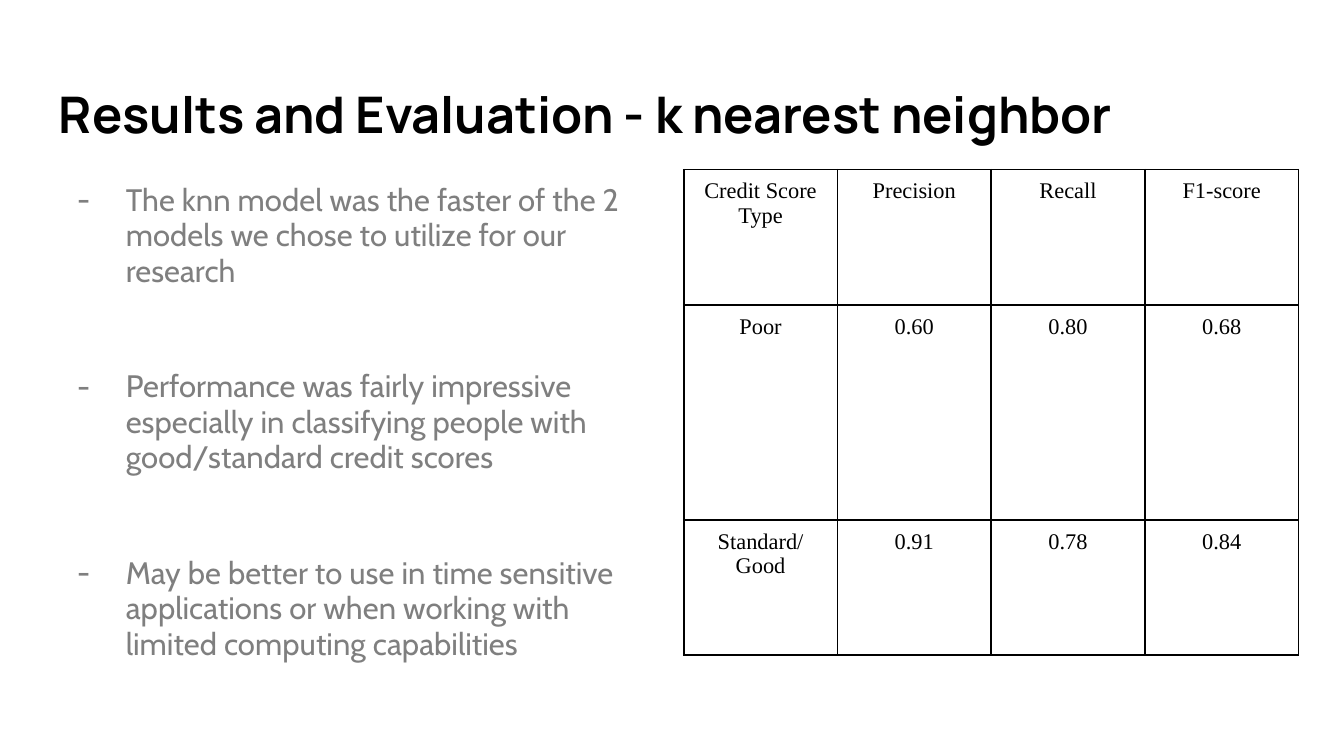
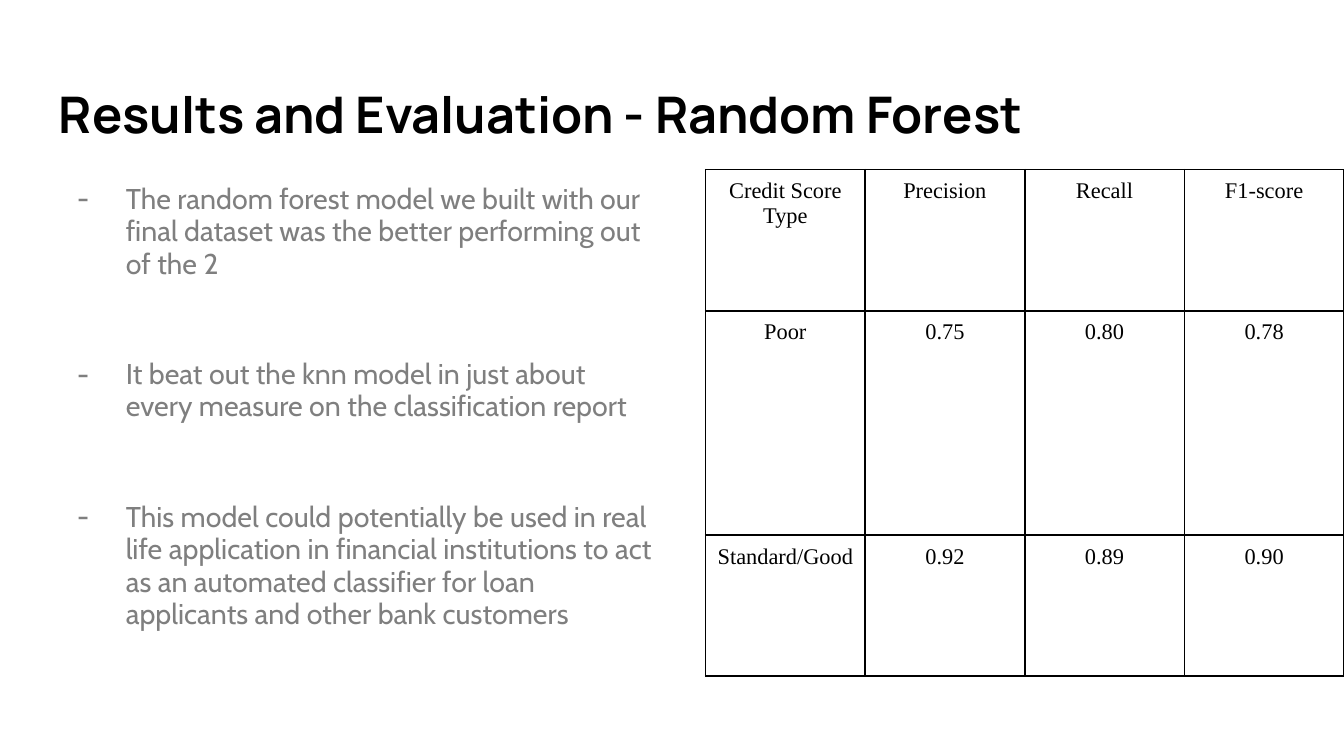
from lxml.etree import SubElement
from pptx import Presentation
from pptx.dml.color import RGBColor
from pptx.enum.text import MSO_ANCHOR, MSO_AUTO_SIZE, PP_ALIGN
from pptx.oxml.ns import qn
from pptx.util import Pt

PX = 5715
BLACK = RGBColor(0x00, 0x00, 0x00)
GRAY = RGBColor(0x7F, 0x7F, 0x7F)
WHITE = RGBColor(0xFF, 0xFF, 0xFF)
HEADER = ("Credit Score Type", "Precision", "Recall", "F1-score")


class ReportDeck:
    title_font = "Manrope"
    body_font = "Cabin"
    table_font = "Times New Roman"
    content_top = 202

    def __init__(self, width, height):
        self.presentation = Presentation()
        self.presentation.slide_width = width * PX
        self.presentation.slide_height = height * PX
        self.slide = None

    def add_slide(self, title):
        layout = self.presentation.slide_layouts[5]
        self.slide = self.presentation.slides.add_slide(layout)
        self.slide.background.fill.solid()
        self.slide.background.fill.fore_color.rgb = WHITE
        shape = self.slide.shapes.title
        self.place(shape, 54, 78, 1491, 109)
        frame = self.prepare_frame(shape, MSO_ANCHOR.BOTTOM)
        frame.text = title
        paragraph = frame.paragraphs[0]
        paragraph.alignment = PP_ALIGN.LEFT
        self.set_font(paragraph, self.title_font, 27, BLACK, bold=True)

    def add_bullets(self, texts, height, size, gap):
        shape = self.slide.shapes.add_textbox(0, 0, 0, 0)
        self.place(shape, 54, self.content_top, 746, height)
        frame = self.prepare_frame(shape, MSO_ANCHOR.TOP)
        frame.text = "\n".join(texts)
        for index, paragraph in enumerate(frame.paragraphs):
            paragraph.line_spacing = 0.95
            paragraph.space_before = Pt(gap if index else 0)
            self.set_bullet(paragraph, 80, -58)
            self.set_font(paragraph, self.body_font, size, GRAY)

    def add_table(self, rows, left, column_width, row_heights):
        width, height = column_width * len(rows[0]), sum(row_heights)
        frame = self.slide.shapes.add_table(len(rows), len(rows[0]), 0, 0, 0, 0)
        self.place(frame, left, self.content_top, width, height)
        table = frame.table
        table.first_row = table.horz_banding = False
        for column in table.columns:
            column.width = column_width * PX
        for row, row_height, values in zip(table.rows, row_heights, rows):
            row.height = row_height * PX
            for cell, value in zip(row.cells, values):
                self.fill_cell(cell, value)

    def fill_cell(self, cell, value):
        cell.text = value
        cell.margin_left = cell.margin_right = 11 * PX
        cell.margin_top = cell.margin_bottom = 11 * PX
        self.set_borders(cell)
        cell.fill.background()
        paragraph = cell.text_frame.paragraphs[0]
        paragraph.alignment = PP_ALIGN.CENTER
        self.set_font(paragraph, self.table_font, 12, BLACK)

    def save(self):
        self.presentation.save("out.pptx")

    @staticmethod
    def place(shape, left, top, width, height):
        shape.left, shape.top = left * PX, top * PX
        shape.width, shape.height = width * PX, height * PX

    @staticmethod
    def prepare_frame(shape, anchor):
        frame = shape.text_frame
        frame.word_wrap = True
        frame.auto_size = MSO_AUTO_SIZE.NONE
        frame.vertical_anchor = anchor
        frame.margin_left = frame.margin_right = 16 * PX
        frame.margin_top = frame.margin_bottom = 16 * PX
        return frame

    @staticmethod
    def set_font(paragraph, name, size, color, bold=False):
        font = paragraph.font
        font.name, font.size, font.bold = name, Pt(size), bold
        font.color.rgb = color

    @staticmethod
    def set_bullet(paragraph, margin, indent):
        properties = paragraph._p.get_or_add_pPr()
        properties.set("marL", str(margin * PX))
        properties.set("indent", str(indent * PX))
        color = SubElement(properties, qn("a:buClr"))
        SubElement(color, qn("a:srgbClr"), val=str(GRAY))
        SubElement(properties, qn("a:buFont"), typeface=ReportDeck.body_font)
        SubElement(properties, qn("a:buChar"), char="-")

    @staticmethod
    def set_borders(cell):
        properties = cell._tc.get_or_add_tcPr()
        for side in ("a:lnL", "a:lnR", "a:lnT", "a:lnB"):
            line = SubElement(properties, qn(side), w=str(Pt(1)))
            fill = SubElement(line, qn("a:solidFill"))
            SubElement(fill, qn("a:srgbClr"), val=str(BLACK))


def main():
    deck = ReportDeck(1600, 900)

    deck.add_slide("Results and Evaluation - k nearest neighbor")
    deck.add_bullets(
        [
            "The knn model was the faster of the 2 models we chose to utilize for our research",
            "Performance was fairly impressive especially in classifying people with "
            "good/standard credit scores",
            "May be better to use in time sensitive applications or when working with "
            "limited computing capabilities",
        ],
        height=606, size=16.65, gap=43,
    )
    deck.add_table(
        [
            HEADER,
            ("Poor", "0.60", "0.80", "0.68"),
            ("Standard/Good", "0.91", "0.78", "0.84"),
        ],
        left=814, column_width=183, row_heights=(161, 256, 161),
    )

    deck.add_slide("Results and Evaluation - Random Forest")
    deck.add_bullets(
        [
            "The random forest model we built with our final dataset was the better "
            "performing out of the 2",
            "It beat out the knn model in just about every measure on the classification report",
            "This model could potentially be used in real life application in financial "
            "institutions to act as an automated classifier for loan applicants and other "
            "bank customers",
        ],
        height=602, size=15.3, gap=41.5,
    )
    deck.add_table(
        [
            HEADER,
            ("Poor", "0.75", "0.80", "0.78"),
            ("Standard/Good", "0.92", "0.89", "0.90"),
        ],
        left=840, column_width=190, row_heights=(168, 267, 168),
    )

    deck.save()


if __name__ == "__main__":
    main()
